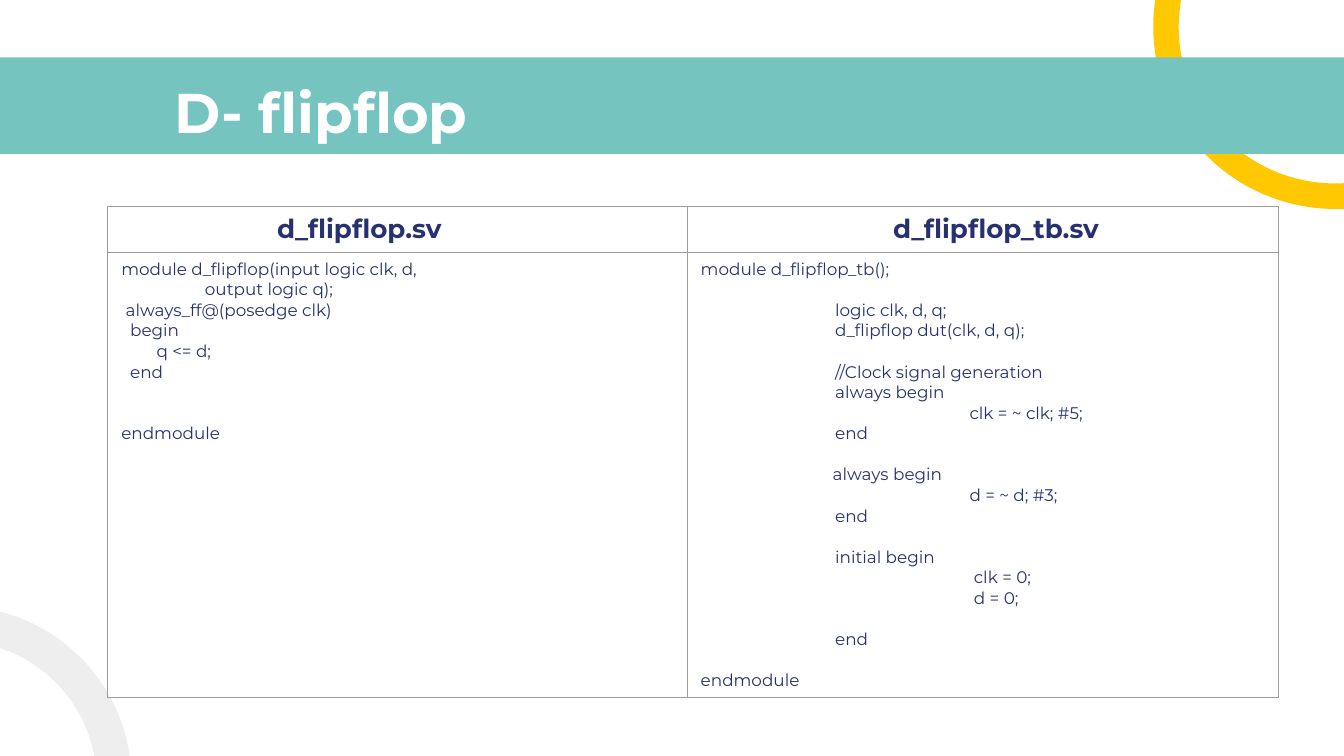
from dataclasses import dataclass

from lxml.etree import SubElement
from pptx import Presentation
from pptx.dml.color import RGBColor
from pptx.enum.shapes import MSO_SHAPE as Preset
from pptx.enum.text import MSO_ANCHOR as Anchor, MSO_AUTO_SIZE as AutoSize, PP_ALIGN as Align
from pptx.oxml.ns import qn
from pptx.util import Pt

FONT = "Montserrat"
COLORS = {
    "band": "75C4C0",
    "yellow": "FFC800",
    "grey": "EEEEEE",
    "white": "FFFFFF",
    "navy": "27316F",
    "border": "9E9E9E",
}
CODE_SIZE = 9
CODE_PITCH = 11  # height of one code line
TAB_WIDTH = 72
INSET = 7.2


@dataclass
class Decoration:
    preset: Preset
    left: float
    top: float
    width: float
    height: float
    color: str
    rotation: float = 0
    angles: tuple = ()  # start and end of the arc, in degrees
    thickness: float = 0


@dataclass
class Listing:
    file_name: str
    name_margin: float
    width: float
    code: tuple


DECORATIONS = [
    Decoration(Preset.BLOCK_ARC, 617.8, -83.2, 195.1, 195.1, "yellow", 180, (265.07, 12.04), 0.07),
    Decoration(Preset.RECTANGLE, -12.2, 30.7, 744.4, 51.8, "band"),
    Decoration(Preset.BLOCK_ARC, -117.4, 324.7, 187.9, 187.9, "grey", 74.3, (209.7, 278.09), 0.1),
]

LISTINGS = [
    Listing("d_flipflop.sv", 90.7, 310.4, (
        "module d_flipflop(input logic clk, d,",
        "                   output logic q);",
        " always_ff@(posedge clk)",
        "  begin",
        "        q <= d;",
        "  end",
        "",
        "",
        "endmodule",
    )),
    Listing("d_flipflop_tb.sv", 110.3, 316.6, (
        "module d_flipflop_tb();",
        "",
        "\tlogic clk, d, q;",
        "\td_flipflop dut(clk, d, q);",
        "",
        "\t//Clock signal generation",
        "\talways begin",
        "\t\tclk = ~ clk; #5;",
        "\tend",
        "",
        "                              always begin",
        "\t\td = ~ d; #3;",
        "\tend",
        "",
        "\tinitial begin",
        "\t\t clk = 0;",
        "\t\t d = 0;",
        "",
        "\tend",
        "",
        "endmodule",
    )),
]


def rgb(name: str) -> RGBColor:
    return RGBColor.from_string(COLORS[name])


def style(para, size: float, color: str, bold: bool) -> None:
    para.alignment = Align.LEFT
    para.font.name = FONT
    para.font.size = Pt(size)
    para.font.bold = bold
    para.font.color.rgb = rgb(color)


def draw_decoration(page, item: Decoration) -> None:
    shape = page.shapes.add_shape(
        item.preset, Pt(item.left), Pt(item.top), Pt(item.width), Pt(item.height))
    shape.shadow.inherit = False
    shape.fill.solid()
    shape.fill.fore_color.rgb = rgb(item.color)
    shape.line.fill.background()
    shape.rotation = item.rotation
    if item.angles:
        for index, angle in enumerate(item.angles):
            shape.adjustments[index] = angle * 0.6  # 60000 units a degree
        shape.adjustments[2] = item.thickness
    # Decorations lie behind the title
    page.shapes.title.element.addprevious(shape.element)


def format_title(title, text: str) -> None:
    title.left, title.top, title.width, title.height = Pt(86.4), Pt(34.2), Pt(609), Pt(45.4)
    frame = title.text_frame
    frame.auto_size = AutoSize.NONE
    frame.word_wrap = True
    frame.vertical_anchor = Anchor.TOP
    frame.margin_left = frame.margin_right = frame.margin_top = frame.margin_bottom = Pt(INSET)
    frame.text = text
    para = frame.paragraphs[0]
    style(para, 30, "white", True)
    para.line_spacing = 1.0
    para.space_before = Pt(0)


def format_cell(cell) -> None:
    cell.vertical_anchor = Anchor.TOP
    properties = cell._tc.get_or_add_tcPr()
    for side in ("a:lnL", "a:lnR", "a:lnT", "a:lnB"):
        line = SubElement(properties, qn(side), w=str(Pt(0.75)))
        fill = SubElement(line, qn("a:solidFill"))
        SubElement(fill, qn("a:srgbClr"), val=COLORS["border"])
    cell.fill.background()


def add_tab_stops(para, count: int) -> None:
    stops = SubElement(para._p.get_or_add_pPr(), qn("a:tabLst"))
    for number in range(1, count + 1):
        SubElement(stops, qn("a:tab"), pos=str(Pt(number * TAB_WIDTH)), algn="l")


def write_code(cell, code: tuple) -> None:
    frame = cell.text_frame
    para = frame.paragraphs[0]
    blanks = 0
    for number, text in enumerate(code):
        if not text:
            blanks += 1
            continue
        if number:
            para = frame.add_paragraph()
        para.text = text
        if blanks:
            para.space_before = Pt(blanks * CODE_PITCH)
        if "\t" in text:
            add_tab_stops(para, text.count("\t"))
        style(para, CODE_SIZE, "navy", False)
        blanks = 0


def draw_listings(page, listings: list) -> None:
    heights = (24.3, 238)
    width = sum(listing.width for listing in listings)
    frame = page.shapes.add_table(
        2, len(listings), Pt(57.8), Pt(110.8), Pt(width), Pt(sum(heights)))
    table = frame.table
    table.first_row = table.horz_banding = False
    for row, height in zip(table.rows, heights):
        row.height = Pt(height)
    for index, listing in enumerate(listings):
        table.columns[index].width = Pt(listing.width)
        header, body = table.cell(0, index), table.cell(1, index)
        format_cell(header)
        format_cell(body)
        header.margin_left = Pt(listing.name_margin)
        header.text = listing.file_name
        style(header.text_frame.paragraphs[0], 14, "navy", True)
        write_code(body, listing.code)


def main() -> None:
    deck = Presentation()
    deck.slide_width, deck.slide_height = Pt(720), Pt(405)
    page = deck.slides.add_slide(deck.slide_layouts[5])

    # Background band and arcs
    for item in DECORATIONS:
        draw_decoration(page, item)

    # Title and code table
    format_title(page.shapes.title, "D- flipflop")
    draw_listings(page, LISTINGS)
    deck.save("out.pptx")


if __name__ == "__main__":
    main()
